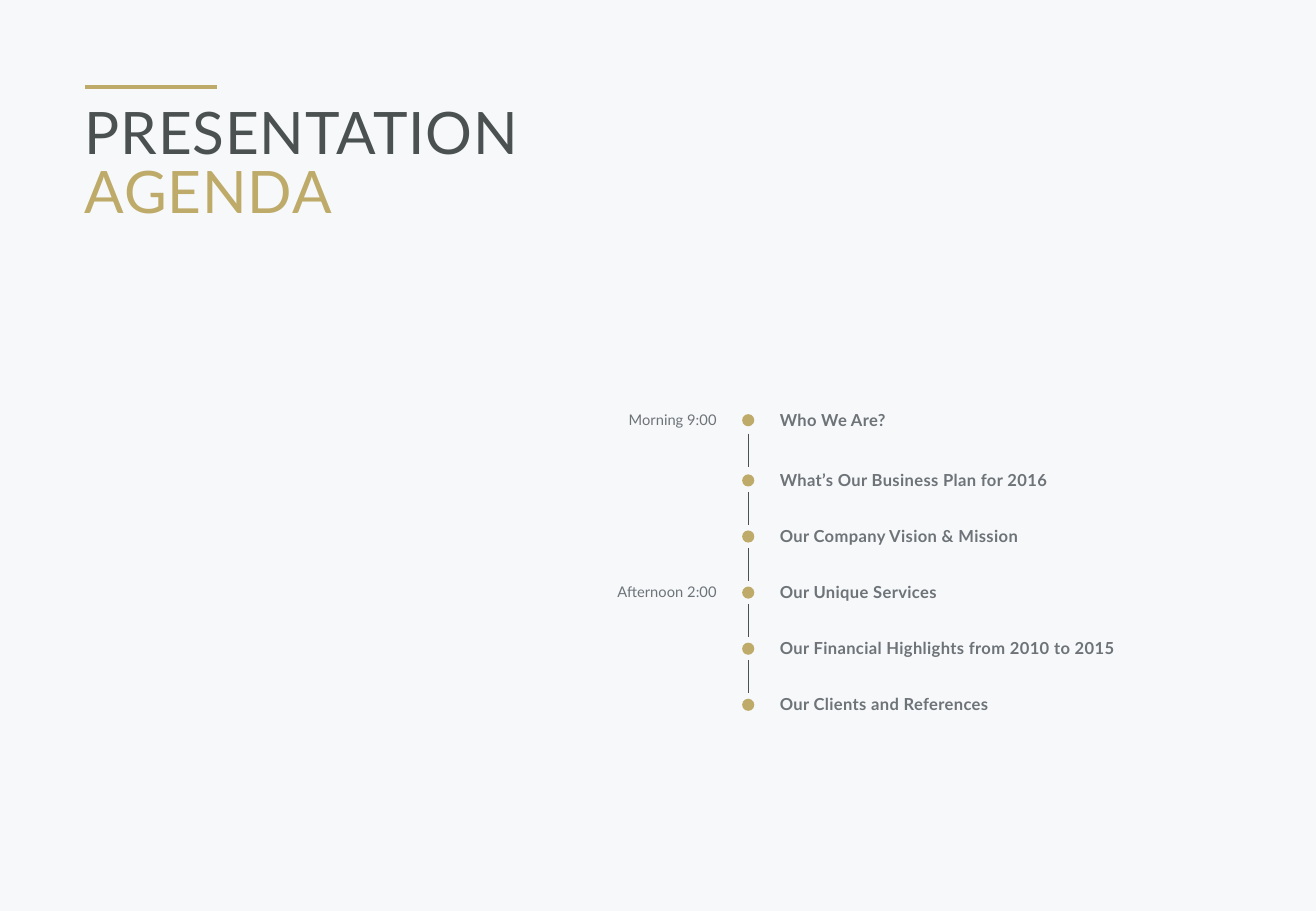
"""Build the presentation agenda slide with its timeline."""
from pptx import Presentation
from pptx.dml.color import RGBColor as RGB
from pptx.enum.shapes import MSO_CONNECTOR as Link, MSO_SHAPE as Shape
from pptx.enum.text import MSO_AUTO_SIZE as Fit, PP_ALIGN as Align
from pptx.oxml.ns import qn
from pptx.util import Pt

theme = {
    "back": RGB.from_string("F6F8FA"),
    "gold": RGB.from_string("BEAA69"),
    "dark": RGB.from_string("4B5050"),
    "gray": RGB.from_string("6E7378"),
    "title": {"name": "Lato", "size": Pt(34.7)},
    "topic": {"name": "Lato", "size": Pt(9.8), "bold": True},
    "time": {"name": "Lato", "size": Pt(8.7)},
}

deck = Presentation()
deck.slide_width, deck.slide_height = Pt(780), Pt(540)
slide = deck.slides.add_slide(deck.slide_layouts[6])
slide.background.fill.solid()
slide.background.fill.fore_color.rgb = theme["back"]


def write(box, lines, style, form, track=0):
    """Add a text box of (text, colour) lines."""
    frame = slide.shapes.add_textbox(*map(Pt, box)).text_frame
    edges = ("margin_left", "margin_top", "margin_right", "margin_bottom")
    for key, value in {**dict.fromkeys(edges, 0), "word_wrap": True,
                       "auto_size": Fit.SHAPE_TO_FIT_TEXT}.items():
        setattr(frame, key, value)
    for n, (text, color) in enumerate(lines):
        para = frame.add_paragraph() if n else frame.paragraphs[0]
        for key, value in form.items():
            setattr(para, key, value)
        run = para.add_run()
        run.text = text
        for key, value in theme[style].items():
            setattr(run.font, key, value)
        run.font.color.rgb = theme[color]
        if track:
            run.font._element.set("spc", str(track))


def rule(ends, color, width):
    """Draw a straight line without a shadow."""
    line = slide.shapes.add_connector(Link.STRAIGHT, *map(Pt, ends))
    line.line.color.rgb = theme[color]
    line.line.width = Pt(width)
    props = line._element.spPr
    props.append(props.makeelement(qn("a:effectLst"), {}))


rule((50.4, 51.6, 128.8, 51.6), "gold", 2.25)
write((50.4, 64.1, 679, 70.6), [("PRESENTATION", "dark"), ("AGENDA", "gold")],
      "title", {"line_spacing": Pt(34.7)}, 50)

agenda = [
    ("Morning 9:00", "Who We Are?"),
    ("", "What’s Our Business Plan for 2016"),
    ("", "Our Company Vision & Mission"),
    ("Afternoon 2:00", "Our Unique Services"),
    ("", "Our Financial Highlights from 2010 to 2015"),
    ("", "Our Clients and References"),
]
axis, dot, dash = 443.5, 7.2, 19.7
rows = [249.1] + [284.8 + 33.25 * n for n in range(len(agenda) - 1)]

for (time, topic), mid in zip(agenda, rows):
    mark = slide.shapes.add_shape(
        Shape.OVAL, *map(Pt, (axis - dot / 2, mid - dot / 2, dot, dot)))
    mark.shadow.inherit = False
    mark.fill.solid()
    mark.fill.fore_color.rgb = theme["gold"]
    mark.line.fill.background()
    write((462.2, mid - 6.2, 267, 11.8), [(topic, "gray")], "topic", {}, 20)
    if time:
        write((344.2, mid - 5.6, 80.6, 10.5), [(time, "gray")], "time",
              {"alignment": Align.RIGHT})

for top, low in zip(rows, rows[1:]):
    mid = (top + low) / 2
    rule((axis, mid - dash / 2, axis, mid + dash / 2), "dark", 0.75)

deck.save("out.pptx")
